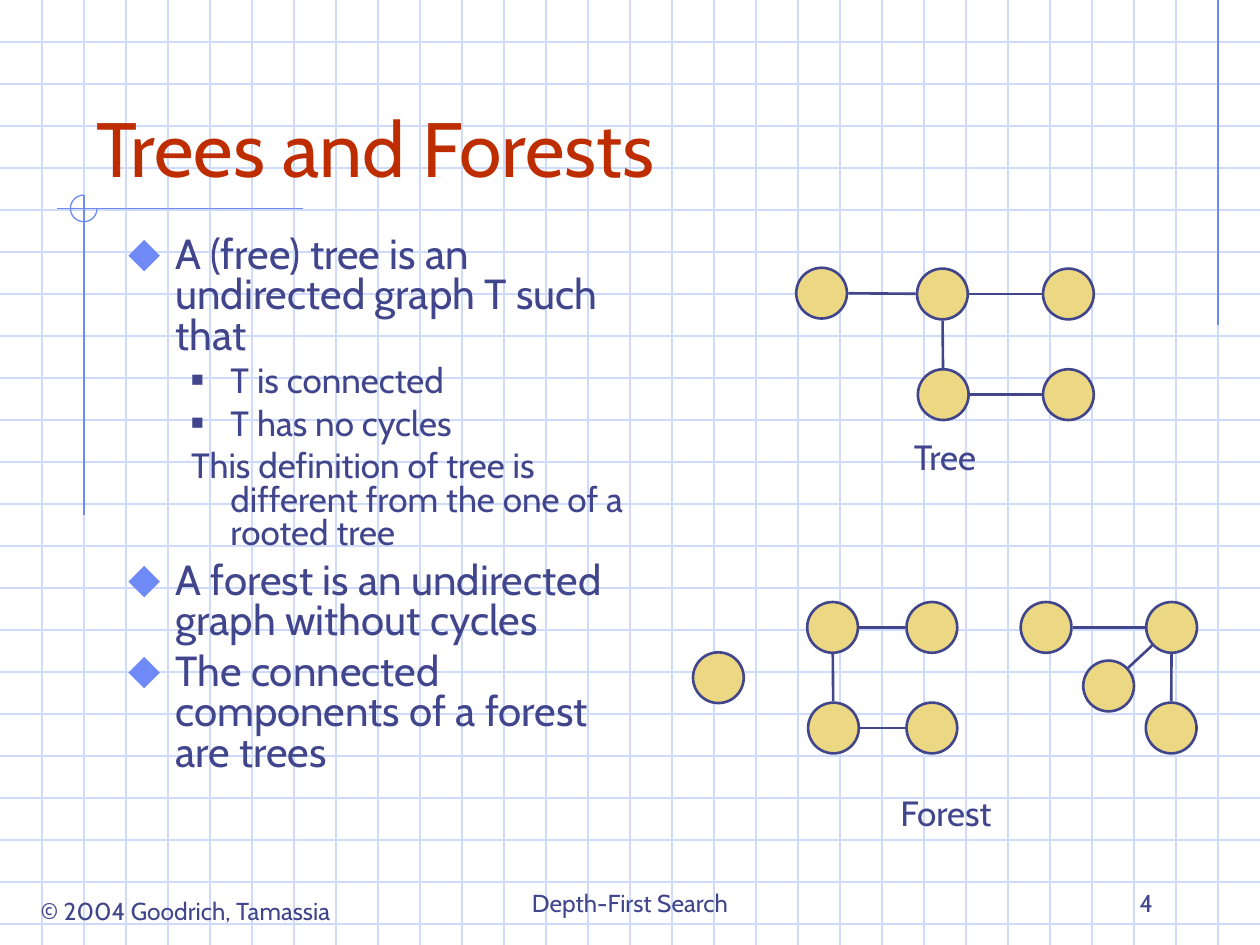
from math import hypot

from lxml.etree import SubElement
from pptx import Presentation
from pptx.dml.color import RGBColor
from pptx.enum.shapes import MSO_CONNECTOR, MSO_SHAPE
from pptx.enum.text import MSO_ANCHOR, MSO_AUTO_SIZE, PP_ALIGN
from pptx.oxml.ns import qn
from pptx.util import Pt

COLORS = {"grid": "CFDBFD", "accent": "6F89F7", "ink": "40458C",
          "title": "BE2D00", "node": "ECD882"}
WIDTH, HEIGHT, STEP = 720, 540, 24
DIAMOND = ("⬥", "accent", 110)
SQUARE = ("■", "ink", 60)
BODY = [
    ("A (free) tree is an undirected graph T such that", 0, DIAMOND),
    ("T is connected", 1, SQUARE),
    ("T has no cycles", 1, SQUARE),
    ("This definition of tree is different from the one of a rooted tree", 1, None),
    ("A forest is an undirected graph without cycles", 0, DIAMOND),
    ("The connected components of a forest are trees", 0, DIAMOND),
]
LEVELS = [{"size": 24, "margin": 27, "indent": -27, "before": 6},
          {"size": 20, "margin": 58.5, "indent": -22.5, "before": 5}]
TREE = ({"left": (469.5, 167.5), "middle": (538.5, 168), "right": (610.5, 168),
         "below": (539, 225.5), "last": (610.5, 225.5)},
        ["left middle", "middle right", "middle below", "below last"])
FOREST = ({"single": (410.5, 387.25),
           "corner": (475.75, 358.5), "top": (532.5, 358.5),
           "bottom": (476.25, 416), "end": (532.5, 416),
           "far": (597.75, 358.5), "root": (669.5, 358.5),
           "leaf": (669.25, 416), "inner": (633.5, 392)},
          ["corner top", "corner bottom", "bottom end",
           "far root", "root leaf", "root inner"])


class SlideBuilder:
    """Holds the style and the current slide, and draws each kind of element."""

    font = "Cabin"
    diameter = 29

    def __init__(self, deck):
        self.page = deck.slides.add_slide(deck.slide_layouts[1])
        self.shapes = self.page.shapes

    def color(self, name):
        return RGBColor.from_string(COLORS[name])

    def line(self, start, end, color, width=0.75):
        line = self.shapes.add_connector(
            MSO_CONNECTOR.STRAIGHT, *(Pt(value) for value in (*start, *end)))
        line.line.color.rgb = self.color(color)
        line.line.width = Pt(width)
        SubElement(line.element.spPr, qn("a:effectLst"))

    def shape(self, kind, left, top, size, color, width, fill=None):
        shape = self.shapes.add_shape(kind, Pt(left), Pt(top), Pt(size), Pt(size))
        shape.shadow.inherit = False
        shape.line.color.rgb = self.color(color)
        shape.line.width = Pt(width)
        if fill:
            shape.fill.solid()
            shape.fill.fore_color.rgb = self.color(fill)
        else:
            shape.fill.background()
        return shape

    def span(self, para, text, size, color="ink"):
        span = para.add_run()
        span.text = text
        span.font.name = self.font
        span.font.size = Pt(size)
        span.font.color.rgb = self.color(color)

    def place(self, box, left, top, width, height, anchor):
        box.left, box.top, box.width, box.height = map(Pt, (left, top, width, height))
        frame = box.text_frame
        frame.word_wrap = True
        frame.auto_size = MSO_AUTO_SIZE.NONE
        frame.vertical_anchor = anchor
        return frame

    def placeholder(self, box, area, anchor):
        self.shapes.element.append(box.element)
        return self.place(box, *area, anchor)

    def title(self, text, area):
        para = self.placeholder(self.shapes.title, area, MSO_ANCHOR.BOTTOM).paragraphs[0]
        para.alignment = PP_ALIGN.LEFT
        self.span(para, text, 44, "title")

    def bullet(self, para, mark):
        properties = para._p.get_or_add_pPr()
        if mark is None:
            SubElement(properties, qn("a:buNone"))
            return
        char, color, percent = mark
        SubElement(SubElement(properties, qn("a:buClr")), qn("a:srgbClr"), val=COLORS[color])
        SubElement(properties, qn("a:buSzPct"), val=str(percent * 1000))
        SubElement(properties, qn("a:buChar"), char=char)

    def body(self, items, area):
        frame = self.placeholder(self.page.placeholders[1], area, MSO_ANCHOR.TOP)
        for index, (text, level, mark) in enumerate(items):
            para = frame.add_paragraph() if index else frame.paragraphs[0]
            style = LEVELS[level]
            para.level = level
            para.line_spacing = 0.8
            para.space_before = Pt(style["before"])
            properties = para._p.get_or_add_pPr()
            properties.set("marL", str(Pt(style["margin"])))
            properties.set("indent", str(Pt(style["indent"])))
            self.bullet(para, mark)
            self.span(para, text, style["size"])

    def label(self, text, area, size, align=PP_ALIGN.CENTER, anchor=MSO_ANCHOR.TOP):
        box = self.shapes.add_textbox(0, 0, 0, 0)
        para = self.place(box, *area, anchor).paragraphs[0]
        para.alignment = align
        self.span(para, text, size)

    def background(self):
        for y in range(STEP, HEIGHT, STEP):
            self.line((0, y), (WIDTH, y), "grid")
        for x in range(STEP, WIDTH, STEP):
            self.line((x, 0), (x, HEIGHT), "grid")
        self.line((696, 0), (696, 186), "accent")
        self.line((32.5, 119.25), (173, 119.25), "accent")
        self.line((48, 111.5), (48, 294.5), "accent")
        arc = self.shape(MSO_SHAPE.ARC, 40.25, 111.5, 15.25, "accent", 0.75)
        arc.adjustments[0], arc.adjustments[1] = 0, 162

    def graph(self, nodes, edges):
        radius = self.diameter / 2
        for x, y in nodes.values():
            self.shape(MSO_SHAPE.OVAL, x - radius, y - radius, self.diameter,
                       "ink", 1.5, "node")
        for edge in edges:
            (x1, y1), (x2, y2) = (nodes[name] for name in edge.split())
            trim = (radius + 0.75) / hypot(x2 - x1, y2 - y1)
            dx, dy = (x2 - x1) * trim, (y2 - y1) * trim
            self.line((x1 + dx, y1 + dy), (x2 - dx, y2 - dy), "ink", 1.5)


def main():
    deck = Presentation()
    deck.slide_width, deck.slide_height = Pt(WIDTH), Pt(HEIGHT)
    slide = SlideBuilder(deck)
    slide.background()
    slide.label("© 2004 Goodrich, Tamassia", (8.5, 508.25, 195, 24.5), 14)
    slide.title("Trees and Forests", (48, 24, 612, 90))
    slide.body(BODY, (66, 132, 306, 354))
    slide.label("Tree", (427.5, 245.5, 225, 31.5), 20)
    slide.label("Forest", (397, 448.5, 287, 31.5), 20)
    slide.graph(*TREE)
    slide.graph(*FOREST)
    slide.label("Depth-First Search", (246, 492, 228, 36), 14, anchor=MSO_ANCHOR.BOTTOM)
    slide.label("4", (516, 492, 150, 36), 14, PP_ALIGN.RIGHT, MSO_ANCHOR.BOTTOM)
    deck.save("out.pptx")


if __name__ == "__main__":
    main()
